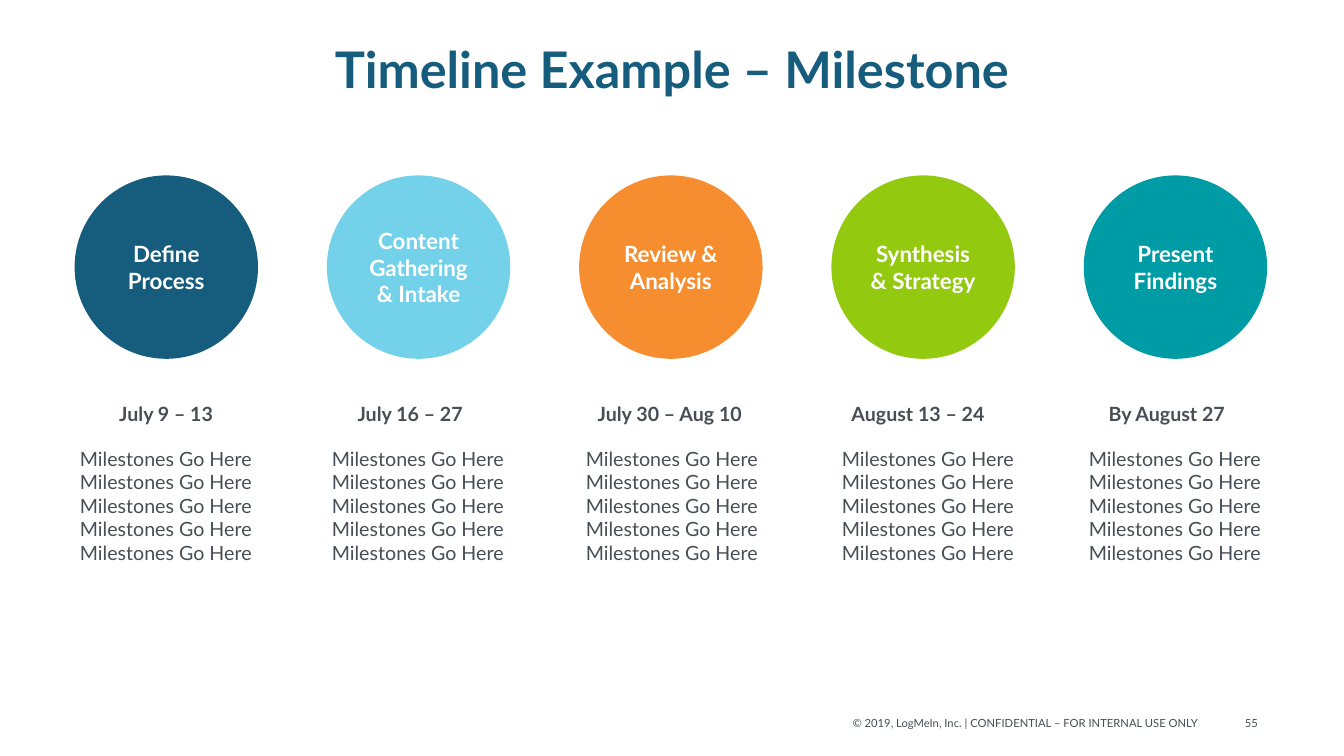
from pptx import Presentation
from pptx.dml.color import RGBColor
from pptx.enum import shapes, text
from pptx.util import Pt

COLORS = {
    "navy": "165C7D", "sky": "74D1EA", "orange": "F68D2E",
    "green": "93C90E", "teal": "009CA5", "gray": "484E55", "white": "FFFFFF",
}
TITLE = "Timeline Example – Milestone"
COPYRIGHT = "© 2019, LogMeIn, Inc. | CONFIDENTIAL – FOR INTERNAL USE ONLY"
PAGE_NUMBER = "55"
MILESTONES = ["Milestones Go Here"] * 5

# label, color, dates, date left, date width, milestones left
PHASES = [
    (["Define Process"], "navy", "July 9 – 13", 64, 109.4, 49.7),
    (["Content Gathering & Intake"], "sky", "July 16 – 27", 238.3, 109.4, 229.7),
    (["Review & Analysis"], "orange", "July 30 – Aug 10", 396, 164.9, 411.1),
    (["Synthesis", "& Strategy"], "green", "August 13 – 24", 587.7, 136.1, 594),
    (["Present Findings"], "teal", "By August 27", 765.4, 136.1, 770.4),
]
CIRCLE_LEFT, CIRCLE_TOP, CIRCLE_SIZE, CIRCLE_STEP = 53.3, 125.3, 131, 180.2
DATE_TOP, DATE_HEIGHT = 283.7, 24.2
MILESTONES_TOP, MILESTONES_WIDTH, MILESTONES_HEIGHT = 315.4, 137.5, 92.2


def color(name):
    return RGBColor.from_string(COLORS[name])


def write(shape, lines, size=14, ink="gray", bold=False, align="CENTER",
          anchor="TOP", spacing=None, wrap=True):
    frame = shape.text_frame
    frame.word_wrap = wrap
    frame.vertical_anchor = getattr(text.MSO_ANCHOR, anchor)
    for index, line in enumerate(lines):
        paragraph = frame.paragraphs[0] if index == 0 else frame.add_paragraph()
        paragraph.alignment = getattr(text.PP_ALIGN, align)
        if spacing:
            paragraph.line_spacing = spacing
        run = paragraph.add_run()
        run.text = line
        run.font.name = "Lato"
        run.font.size = Pt(size)
        run.font.bold = bold
        run.font.color.rgb = color(ink)


def add_text(slide, box, lines, **style):
    write(slide.shapes.add_textbox(*map(Pt, box)), lines, **style)


def add_circle(slide, left, fill, lines):
    box = (left, CIRCLE_TOP, CIRCLE_SIZE, CIRCLE_SIZE)
    circle = slide.shapes.add_shape(shapes.MSO_SHAPE.OVAL, *map(Pt, box))
    circle.shadow.inherit = False
    circle.fill.solid()
    circle.fill.fore_color.rgb = color(fill)
    circle.line.fill.background()
    write(circle, lines, size=16, ink="white", bold=True, anchor="MIDDLE")


def main():
    presentation = Presentation()
    presentation.slide_width, presentation.slide_height = Pt(960), Pt(540)
    slide = presentation.slides.add_slide(presentation.slide_layouts[6])

    add_text(slide, (882, 508.3, 23.8, 17.3), [PAGE_NUMBER], size=8, wrap=False)
    add_text(slide, (601.2, 508.3, 262.1, 17.3), [COPYRIGHT], size=8, align="RIGHT")
    add_text(slide, (66, 28.8, 828, 92.9), [TITLE],
             size=36, ink="navy", bold=True, spacing=0.9)

    for index, phase in enumerate(PHASES):
        label, fill, dates, date_left, date_width, milestones_left = phase
        add_circle(slide, CIRCLE_LEFT + index * CIRCLE_STEP, fill, label)
        add_text(slide, (date_left, DATE_TOP, date_width, DATE_HEIGHT), [dates], bold=True)
        add_text(slide, (milestones_left, MILESTONES_TOP, MILESTONES_WIDTH, MILESTONES_HEIGHT),
                 MILESTONES, wrap=False)

    presentation.save("out.pptx")


if __name__ == "__main__":
    main()
